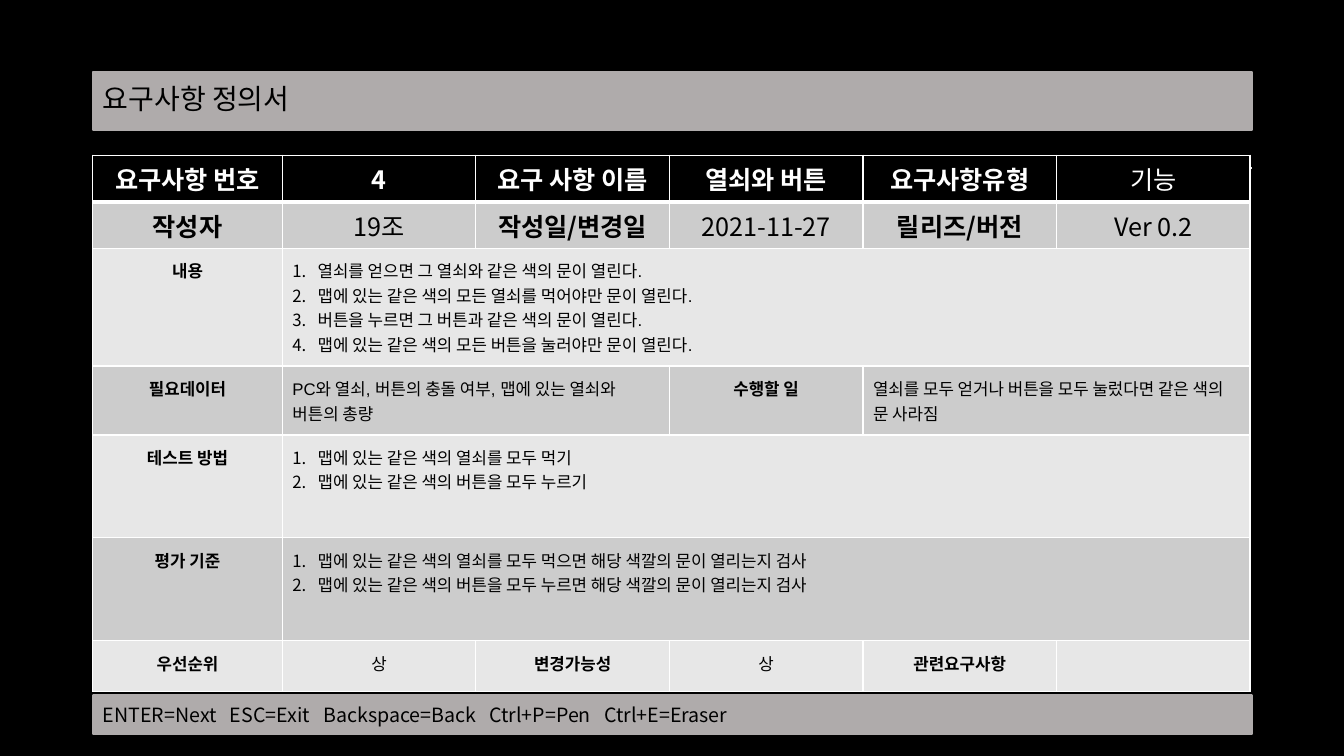
"""Build the requirement sheet for the keys and buttons feature."""
from lxml import etree
from pptx import Presentation, util as u
from pptx.dml.color import RGBColor
from pptx.enum import shapes, text
from pptx.oxml.ns import qn

FACE = "Noto Sans CJK KR"
LEFT, WIDE = u.Inches(0.92), u.Inches(11.5)


def paint(form, tone):
    if hasattr(form, "solid"):
        form.solid()
        form = form.fore_color
    form.rgb = RGBColor.from_string(tone)


def style(para, size, tone, bold=False, face=FACE):
    font = para.font
    font.size, font.bold, font.name = u.Pt(size), bold, face
    paint(font.color, tone)
    base = para._p.pPr.find(qn("a:defRPr"))
    etree.SubElement(base, qn("a:ea"), typeface=FACE)


deck = Presentation()
deck.slide_width, deck.slide_height = u.Inches(13.33), u.Inches(7.5)
slide = deck.slides.add_slide(deck.slide_layouts[6])
paint(slide.background.fill, "000000")

rule = slide.shapes.add_connector(
    shapes.MSO_CONNECTOR.STRAIGHT, LEFT, u.Inches(1.67), LEFT + WIDE, u.Inches(1.67))
paint(rule.line.fill, "E7E6E6")
rule.line.width = u.Pt(1.5)
etree.SubElement(rule._element.spPr, qn("a:effectLst"))

bars = [
    (6.9, 0.38, 14, 1, "ENTER=Next   ESC=Exit   Backspace=Back   Ctrl+P=Pen   Ctrl+E=Eraser"),
    (0.71, 0.58, 20, 0.9, "요구사항 정의서"),
]
for top, high, size, gap, words in bars:
    bar = slide.shapes.add_shape(
        shapes.MSO_SHAPE.RECTANGLE, LEFT, u.Inches(top), WIDE, u.Inches(high))
    bar.shadow.inherit = False
    paint(bar.fill, "AFABAB")
    paint(bar.line.fill, "AFABAB")
    bar.line.width = u.Pt(1.5)
    bar.text_frame.vertical_anchor = text.MSO_ANCHOR.MIDDLE
    para = bar.text_frame.paragraphs[0]
    para.text = words
    para.alignment = text.PP_ALIGN.LEFT
    para.line_spacing = gap
    style(para, size, "000000")

# Each row: height, bold columns, cells; None continues the cell to its left.
rows = [
    (0.41, range(5), ["요구사항 번호", "4", "요구 사항 이름", "열쇠와 버튼", "요구사항유형", "기능"]),
    (0.41, (0, 2, 4), ["작성자", "19조", "작성일/변경일", "2021-11-27", "릴리즈/버전", "Ver 0.2"]),
    (0.82, (0,), ["내용", "열쇠를 얻으면 그 열쇠와 같은 색의 문이 열린다.\n"
                  "맵에 있는 같은 색의 모든 열쇠를 먹어야만 문이 열린다.\n"
                  "버튼을 누르면 그 버튼과 같은 색의 문이 열린다.\n"
                  "맵에 있는 같은 색의 모든 버튼을 눌러야만 문이 열린다.",
                  None, None, None, None]),
    (0.62, (0, 3), ["필요데이터", "PC와 열쇠, 버튼의 충돌 여부, 맵에 있는 열쇠와 버튼의 총량", None,
                    "수행할 일", "열쇠를 모두 얻거나 버튼을 모두 눌렀다면 같은 색의 문 사라짐", None]),
    (1.02, (0,), ["테스트 방법", "맵에 있는 같은 색의 열쇠를 모두 먹기\n"
                  "맵에 있는 같은 색의 버튼을 모두 누르기", None, None, None, None]),
    (1.02, (0,), ["평가 기준", "맵에 있는 같은 색의 열쇠를 모두 먹으면 해당 색깔의 문이 열리는지 검사\n"
                  "맵에 있는 같은 색의 버튼을 모두 누르면 해당 색깔의 문이 열리는지 검사",
                  None, None, None, None]),
    (0.41, (0, 2, 4), ["우선순위", "상", "변경가능성", "상", "관련요구사항", ""]),
]
cols = [1.88] + [1.92] * 5
grid = slide.shapes.add_table(
    len(rows), len(cols), LEFT, u.Inches(1.54), u.Inches(sum(cols)),
    u.Inches(sum(row[0] for row in rows))).table
for col, wide in zip(grid.columns, cols):
    col.width = u.Inches(wide)

for r, (high, bolds, words) in enumerate(rows):
    grid.rows[r].height = u.Inches(high)
    for c, word in enumerate(words):
        cell = grid.cell(r, c)
        paint(cell.fill, "000000" if r == 0 else "CCCCCC" if r % 2 else "E7E7E7")
        props = cell._tc.get_or_add_tcPr()
        for n, side in enumerate("LRTB"):
            thick = (r, side) in ((0, "B"), (1, "T"))
            edge = etree.Element(qn(f"a:ln{side}"), w=str(u.Pt(3 if thick else 1)))
            fill = etree.SubElement(edge, qn("a:solidFill"))
            etree.SubElement(fill, qn("a:srgbClr"), val="FFFFFF")
            props.insert(n, edge)
        if r > 1:
            cell.margin_left = cell.margin_right = u.Inches(0.1)
            cell.margin_top = cell.margin_bottom = u.Inches(0.1)
        if not word:
            continue
        last = c
        while last + 1 < len(words) and words[last + 1] is None:
            last += 1
        if last > c:
            cell.merge(grid.cell(r, last))
        cell.text_frame.text = word
        for para in cell.text_frame.paragraphs:
            para.alignment = text.PP_ALIGN.LEFT if last > c else text.PP_ALIGN.CENTER
            if "\n" in word:
                props = para._p.get_or_add_pPr()
                props.set("marL", str(u.Inches(0.25)))
                props.set("indent", str(-u.Inches(0.25)))
                etree.SubElement(props, qn("a:buFont"), typeface="+mj-lt")
                etree.SubElement(props, qn("a:buAutoNum"), type="arabicPeriod")
            style(para, 12 if r > 1 else 18, "000000" if r else "FFFFFF",
                  c in bolds, "Arial" if r > 1 else FACE)

deck.save("out.pptx")
